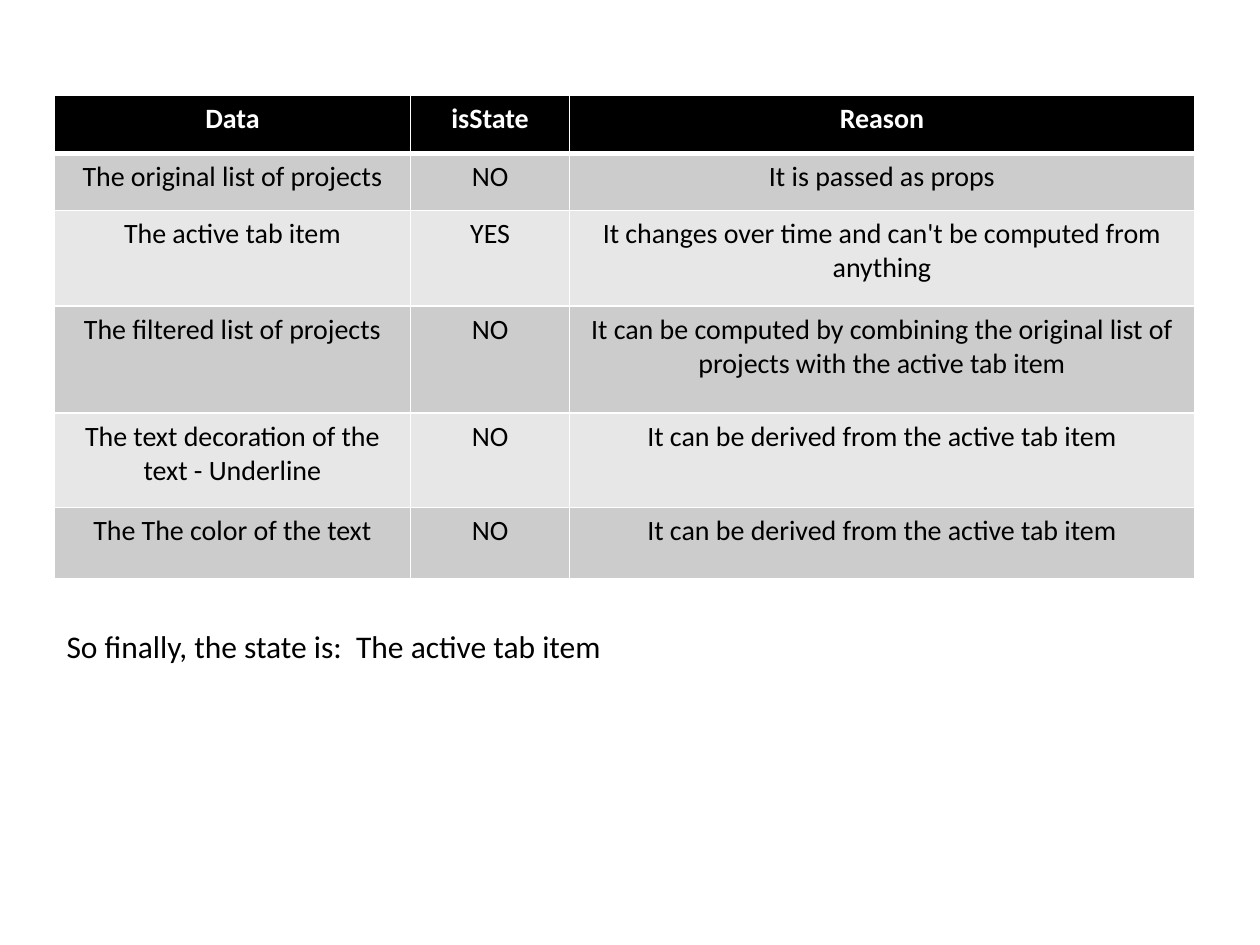
from lxml.etree import SubElement
from pptx import Presentation
from pptx.dml.color import RGBColor
from pptx.enum.text import PP_ALIGN
from pptx.oxml.ns import qn
from pptx.util import Inches, Pt

COLORS = {"white": "FFFFFF", "black": "000000", "odd": "CCCCCC", "even": "E7E7E7"}
FONT = "Calibri"
LEFT, WIDTH = 0.43, 9.06
COLUMNS = [2.83, 1.26, 4.96]
ROW_HEIGHTS = [0.46, 0.45, 0.76, 0.85, 0.75, 0.56]
ROWS = [
    ("Data", "isState", "Reason"),
    ("The original list of projects", "NO", "It is passed as props"),
    ("The active tab item", "YES", "It changes over time and can't be computed from anything"),
    ("The filtered list of projects", "NO",
     "It can be computed by combining the original list of projects with the active tab item"),
    ("The text decoration of the text - Underline", "NO",
     "It can be derived from the active tab item"),
    ("The The color of the text", "NO", "It can be derived from the active tab item"),
]


def add_run(p, text, size, color, bold=False):
    """Add one formatted run to a paragraph."""
    r = p.add_run()
    r.text = text
    r.font.name = FONT
    r.font.size = Pt(size)
    r.font.bold = bold
    r.font.color.rgb = RGBColor.from_string(COLORS[color])


def set_border(cell, side, width):
    """Draw a white border on one side of a cell."""
    ln = SubElement(cell._tc.get_or_add_tcPr(), qn(f"a:ln{side}"), w=str(Pt(width)))
    fill = SubElement(ln, qn("a:solidFill"))
    SubElement(fill, qn("a:srgbClr"), val=COLORS["white"])


def format_cell(cell, text, row):
    """Fill a cell with its text, borders and row colour."""
    header = row == 0
    widths = {"L": 1, "R": 1, "T": 3 if row == 1 else 1, "B": 3 if header else 1}
    for side, width in widths.items():
        set_border(cell, side, width)
    fill = "black" if header else "odd" if row % 2 else "even"
    cell.fill.solid()
    cell.fill.fore_color.rgb = RGBColor.from_string(COLORS[fill])
    p = cell.text_frame.paragraphs[0]
    p.alignment = PP_ALIGN.CENTER
    add_run(p, text, 16, "white" if header else "black", header)


def add_state_table(s):
    """Add the table that decides which data is state."""
    table = s.shapes.add_table(
        len(ROWS), len(COLUMNS), Inches(LEFT), Inches(0.76),
        Inches(WIDTH), Inches(sum(ROW_HEIGHTS))).table
    for column, width in zip(table.columns, COLUMNS):
        column.width = Inches(width)
    for i, (height, texts) in enumerate(zip(ROW_HEIGHTS, ROWS)):
        table.rows[i].height = Inches(height)
        for j, text in enumerate(texts):
            format_cell(table.cell(i, j), text, i)


def add_conclusion(s, text):
    """Add the closing sentence below the table."""
    tf = s.shapes.add_textbox(
        Inches(LEFT), Inches(4.93), Inches(WIDTH), Inches(0.71)).text_frame
    tf.word_wrap = True
    add_run(tf.paragraphs[0], text, 18, "black")


def main():
    """Build and save the slide."""
    prs = Presentation()
    prs.slide_width, prs.slide_height = Inches(10), Inches(7.5)
    s = prs.slides.add_slide(prs.slide_layouts[6])
    add_state_table(s)
    add_conclusion(s, "So finally, the state is:  The active tab item")
    prs.save("out.pptx")


if __name__ == "__main__":
    main()
